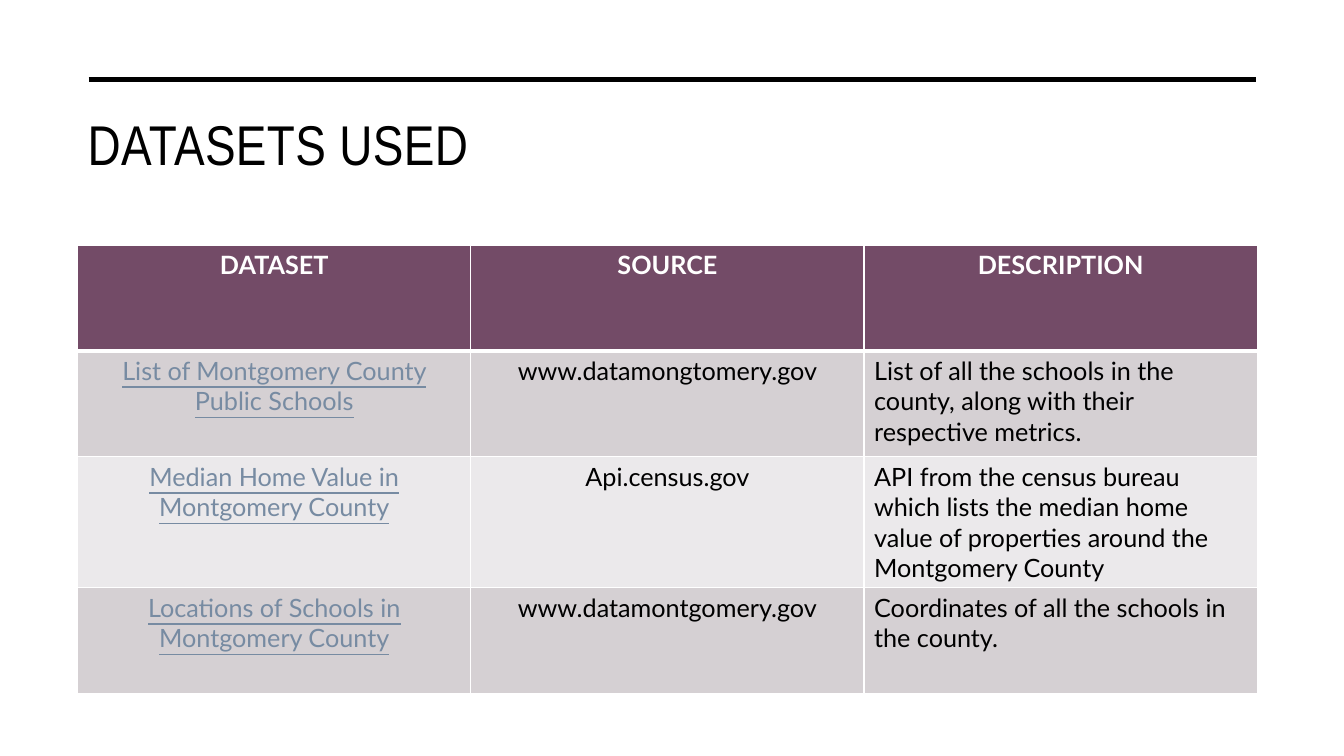
from dataclasses import dataclass

import pptx
import pptx.dml.color
import pptx.enum.shapes
import pptx.enum.text
import pptx.oxml.ns
import pptx.util
from lxml import etree

EMU_PER_PX = 9144
ALIGN = pptx.enum.text.PP_ALIGN


@dataclass(frozen=True)
class Theme:
    title_font: str = "Arial Narrow"
    body_font: str = "Lato"
    title_size: int = 40
    body_size: int = 18
    black: str = "000000"
    white: str = "FFFFFF"
    header: str = "734B67"
    bands: tuple = ("D5D0D3", "EBE9EB")
    link: str = "778BA2"


THEME = Theme()
HEADINGS = ("DATASET", "SOURCE", "DESCRIPTION")
DATASETS = (
    ("List of Montgomery County Public Schools", "www.datamongtomery.gov",
     "List of all the schools in the county, along with their respective metrics."),
    ("Median Home Value in Montgomery County", "Api.census.gov",
     "API from the census bureau which lists the median home value of properties "
     "around the Montgomery County"),
    ("Locations of Schools in Montgomery County", "www.datamontgomery.gov",
     "Coordinates of all the schools in the county."),
)
COLUMN_FORMATS = (
    {"color": THEME.link, "underline": True, "align": ALIGN.CENTER},
    {"align": ALIGN.CENTER},
    {"align": ALIGN.LEFT},
)


def px(length):
    return pptx.util.Emu(length * EMU_PER_PX)


def rgb(color):
    return pptx.dml.color.RGBColor.from_string(color)


def write_text(frame, text, *, font=THEME.body_font, size=THEME.body_size,
               color=THEME.black, bold=False, underline=False,
               align=ALIGN.LEFT, tracking=0):
    para = frame.paragraphs[0]
    para.alignment = align
    span = para.add_run()
    span.text = text
    span.font.name = font
    span.font.size = pptx.util.Pt(size)
    span.font.bold = bold
    span.font.underline = underline
    span.font.color.rgb = rgb(color)
    if tracking:
        span.font._element.set("spc", str(tracking))


def add_rule(page, left, right, top, width):
    rule = page.shapes.add_connector(
        pptx.enum.shapes.MSO_CONNECTOR.STRAIGHT, px(left), px(top), px(right), px(top))
    rule.line.color.rgb = rgb(THEME.black)
    rule.line.width = pptx.util.Pt(width)
    etree.SubElement(rule._element.spPr, pptx.oxml.ns.qn("a:effectLst"))


def place_title(page, text, left, top, width, height):
    box = page.shapes.title
    box.left, box.top, box.width, box.height = map(px, (left, top, width, height))
    frame = box.text_frame
    frame.word_wrap = True
    frame.auto_size = pptx.enum.text.MSO_AUTO_SIZE.NONE
    frame.vertical_anchor = pptx.enum.text.MSO_ANCHOR.TOP
    frame.margin_top = px(9)
    write_text(frame, text, font=THEME.title_font, size=THEME.title_size, tracking=30)


def set_borders(cell, top, bottom):
    properties = cell._tc.get_or_add_tcPr()
    for side, width in (("L", 1), ("R", 1), ("T", top), ("B", bottom)):
        line = etree.SubElement(properties, pptx.oxml.ns.qn(f"a:ln{side}"),
                                w=str(pptx.util.Pt(width)))
        fill = etree.SubElement(line, pptx.oxml.ns.qn("a:solidFill"))
        etree.SubElement(fill, pptx.oxml.ns.qn("a:srgbClr"), val=THEME.white)


def format_cell(cell, text, fill, top=1, bottom=1, **text_format):
    set_borders(cell, top, bottom)
    cell.fill.solid()
    cell.fill.fore_color.rgb = rgb(fill)
    write_text(cell.text_frame, text, **text_format)


def add_dataset_table(page, left, top, column_width, row_height):
    row_count, column_count = len(DATASETS) + 1, len(HEADINGS)
    table = page.shapes.add_table(
        row_count, column_count, px(left), px(top),
        px(column_width * column_count), px(row_height * row_count)).table
    for column in table.columns:
        column.width = px(column_width)
    for row in table.rows:
        row.height = px(row_height)
    for index, heading in enumerate(HEADINGS):
        format_cell(table.cell(0, index), heading, THEME.header, bottom=3,
                    color=THEME.white, bold=True, align=ALIGN.CENTER)
    for number, dataset in enumerate(DATASETS):
        fill = THEME.bands[number % len(THEME.bands)]
        for index, text in enumerate(dataset):
            format_cell(table.cell(number + 1, index), text, fill,
                        top=3 if number == 0 else 1, **COLUMN_FORMATS[index])


def main():
    deck = pptx.Presentation()
    deck.slide_width, deck.slide_height = px(1333), px(750)
    page = deck.slides.add_slide(deck.slide_layouts.get_by_name("Title Only"))
    add_rule(page, left=88, right=1246, top=79, width=3.5)
    place_title(page, "DATASETS USED", left=77, top=100, width=1169, height=143)
    add_dataset_table(page, left=77, top=243, column_width=390, row_height=105)
    deck.save("out.pptx")


if __name__ == "__main__":
    main()
